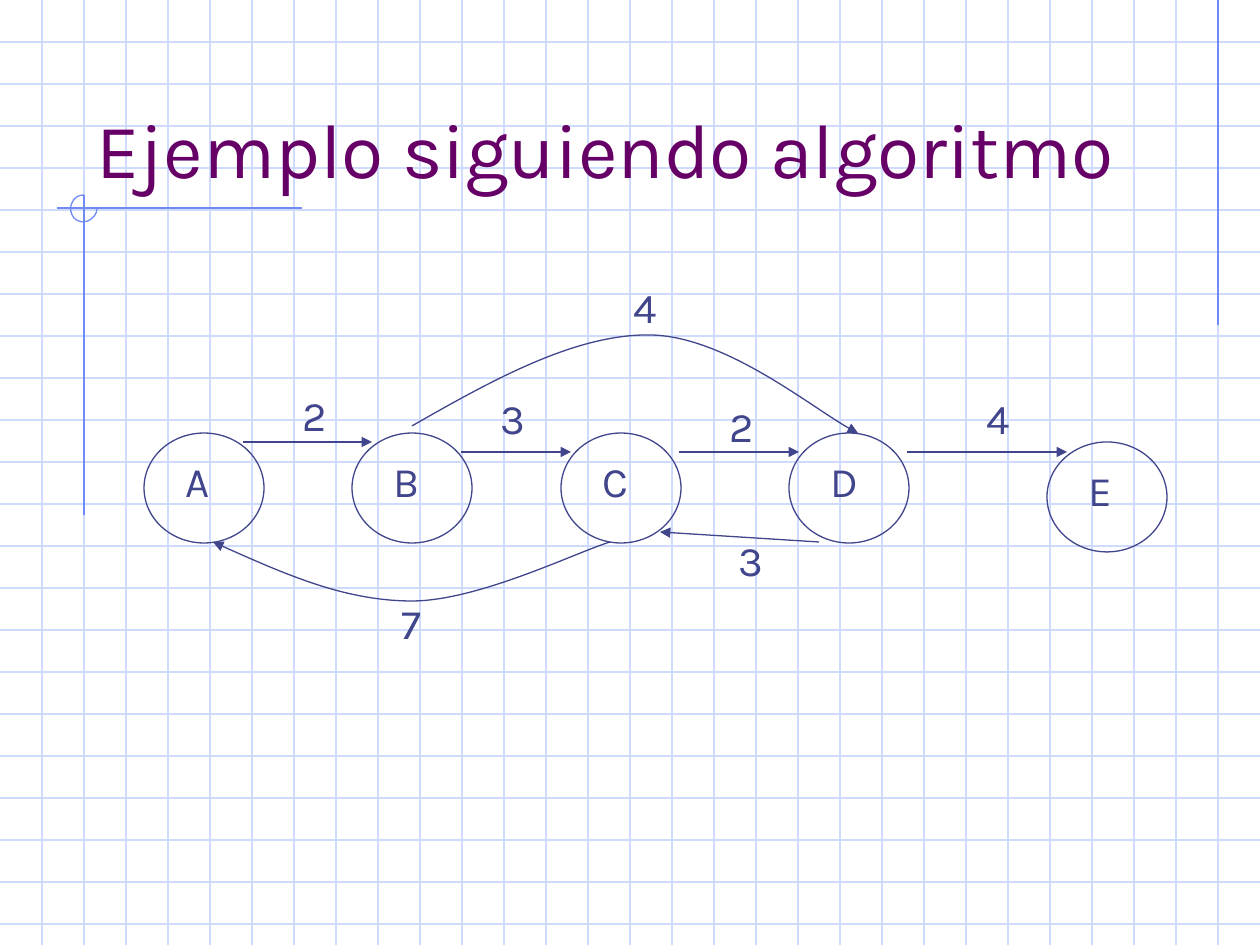
from dataclasses import dataclass

from lxml import etree
from pptx import Presentation
from pptx.dml.color import RGBColor
from pptx.enum.shapes import MSO_CONNECTOR, MSO_SHAPE
from pptx.enum.text import MSO_ANCHOR, MSO_AUTO_SIZE
from pptx.oxml.ns import qn
from pptx.util import Inches, Pt

STRAIGHT = MSO_CONNECTOR.STRAIGHT
OVAL = MSO_SHAPE.OVAL
BOTTOM, TOP = MSO_ANCHOR.BOTTOM, MSO_ANCHOR.TOP
FIT_SHAPE, FIXED = MSO_AUTO_SIZE.SHAPE_TO_FIT_TEXT, MSO_AUTO_SIZE.NONE

SCALE = Inches(1) / 126
PAGE_WIDTH, PAGE_HEIGHT, GRID_STEP = 1260, 945, 42
NODE_WIDTH, NODE_HEIGHT = 120, 110


@dataclass(frozen=True)
class Theme:
    font: str = "Karla"
    title_size: int = 44
    label_size: int = 24
    line_width: float = 0.75
    title: RGBColor = RGBColor.from_string("660066")
    graph: RGBColor = RGBColor.from_string("40458C")
    accent: RGBColor = RGBColor.from_string("6F89F7")
    grid: RGBColor = RGBColor.from_string("CFDBFD")


THEME = Theme()

NODES = [("A", 144, 433), ("B", 352, 433), ("C", 561, 433), ("D", 789, 433), ("E", 1047, 442)]
STRAIGHT_EDGES = [
    ((243, 442), (372, 442)),
    ((461, 452), (571, 452)),
    ((679, 452), (799, 452)),
    ((907, 452), (1067, 452)),
    ((819, 542), (660, 532)),
]
CURVED_EDGES = [
    [(610, 542), (577, 552), (478, 601), (412, 601), (345, 601), (280, 572), (213, 542)],
    [(412, 426), (494, 379), (576, 334), (650, 335), (725, 336), (823, 417), (858, 433)],
]
WEIGHTS = [
    ("2", 290, 383), ("3", 488, 386), ("2", 717, 394), ("4", 974, 386),
    ("3", 726, 528), ("7", 389, 591), ("4", 621, 275),
]
ACCENT_LINES = [((1218, 0), (1218, 325)), ((302, 208), (57, 208)), ((84, 195), (84, 515))]
CORNER_ARC = [
    (84, 195), (78, 195), (74, 198), (72, 203), (69, 208), (71, 214),
    (74, 218), (78, 222), (83, 223), (88, 221), (93, 219), (97, 214), (97, 209),
]


def px(value):
    return round(value * SCALE)


def style_line(line, color, arrow=False):
    line.color.rgb = color
    line.width = Pt(THEME.line_width)
    if arrow:
        etree.SubElement(line._get_or_add_ln(), qn("a:tailEnd"), type="triangle")


def add_line(shapes, start, end, color, arrow=False):
    line = shapes.add_connector(STRAIGHT, *map(px, start + end))
    style_line(line.line, color, arrow)
    etree.SubElement(line._element.spPr, qn("a:effectLst"))


def add_curve(shapes, points, color, arrow=False):
    builder = shapes.build_freeform(*points[0], scale=SCALE)
    builder.add_line_segments(points[1:], close=False)
    curve = builder.convert_to_shape()
    path = next(curve._element.iter(qn("a:path")))
    segments = path.findall(qn("a:lnTo"))
    for first in range(0, len(segments), 3):
        bezier = etree.SubElement(path, qn("a:cubicBezTo"))
        for segment in segments[first:first + 3]:
            bezier.append(segment[0])
            path.remove(segment)
    curve.fill.background()
    style_line(curve.line, color, arrow)
    curve.shadow.inherit = False


def add_text(shapes, text, left, top, width, height, size, color, anchor=TOP, fit=FIT_SHAPE):
    box = shapes.add_textbox(px(left), px(top), px(width), px(height))
    frame = box.text_frame
    frame.word_wrap = fit == FIXED
    frame.auto_size = fit
    frame.vertical_anchor = anchor
    span = frame.paragraphs[0].add_run()
    span.text = text
    span.font.name = THEME.font
    span.font.size = Pt(size)
    span.font.color.rgb = color


def add_label(shapes, text, left, top):
    add_text(shapes, text, left, top, 50, 63, THEME.label_size, THEME.graph)


def add_node(shapes, name, left, top):
    node = shapes.add_group_shape()
    circle = node.shapes.add_shape(OVAL, px(left), px(top), px(NODE_WIDTH), px(NODE_HEIGHT))
    circle.fill.background()
    style_line(circle.line, THEME.graph)
    circle.shadow.inherit = False
    add_label(node.shapes, name, left + 29, top + 16)


def add_background(shapes):
    for y in range(GRID_STEP, PAGE_HEIGHT, GRID_STEP):
        add_line(shapes, (0, y), (PAGE_WIDTH, y), THEME.grid)
    for x in range(GRID_STEP, PAGE_WIDTH, GRID_STEP):
        add_line(shapes, (x, 0), (x, PAGE_HEIGHT), THEME.grid)
    for start, end in ACCENT_LINES:
        add_line(shapes, start, end, THEME.accent)
    add_curve(shapes, CORNER_ARC, THEME.accent)


def add_graph(shapes):
    for name, left, top in NODES:
        add_node(shapes, name, left, top)
    for start, end in STRAIGHT_EDGES:
        add_line(shapes, start, end, THEME.graph, arrow=True)
    for points in CURVED_EDGES:
        add_curve(shapes, points, THEME.graph, arrow=True)
    for weight, left, top in WEIGHTS:
        add_label(shapes, weight, left, top)


def main():
    deck = Presentation()
    deck.slide_width, deck.slide_height = px(PAGE_WIDTH), px(PAGE_HEIGHT)
    page = deck.slides.add_slide(deck.slide_layouts[6])
    add_background(page.shapes.add_group_shape().shapes)
    add_text(page.shapes, "Ejemplo siguiendo algoritmo", 84, 42, 1071, 158,
             THEME.title_size, THEME.title, BOTTOM, FIXED)
    add_graph(page.shapes)
    deck.save("out.pptx")


if __name__ == "__main__":
    main()
